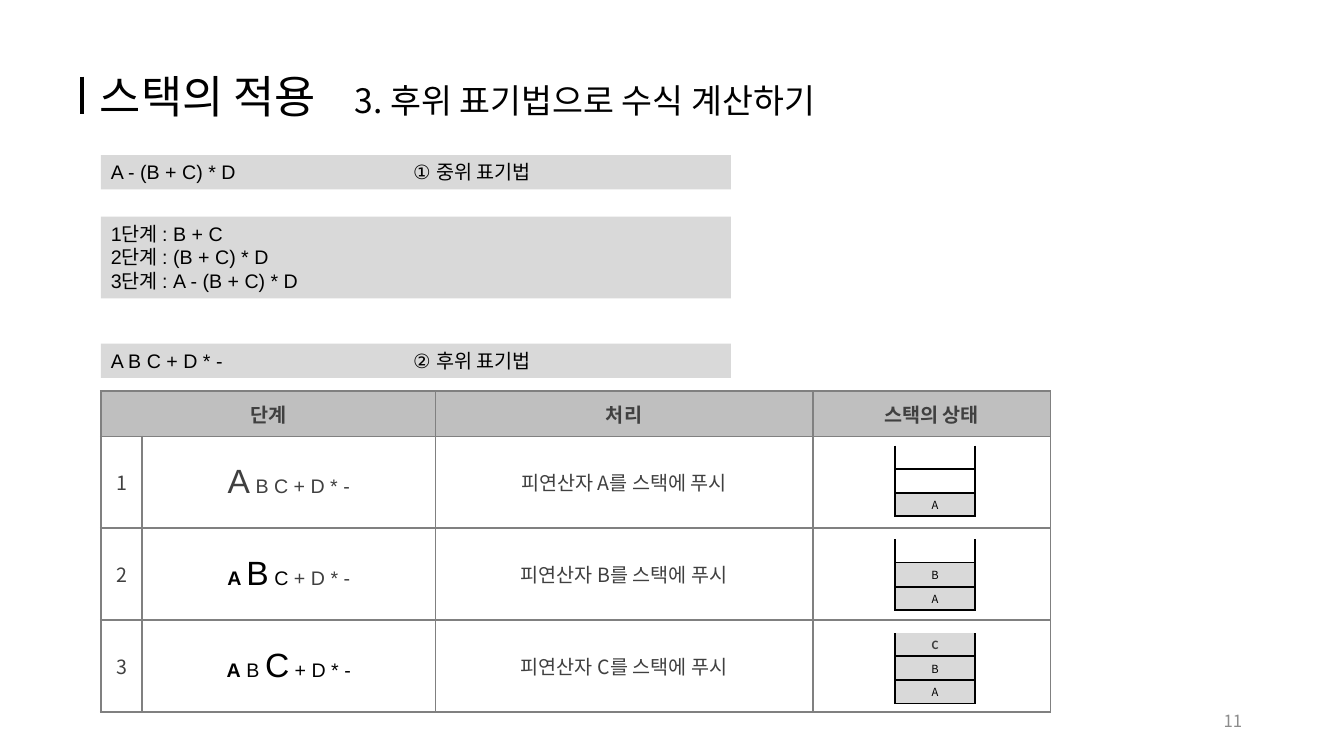
from dataclasses import dataclass
from typing import NamedTuple

from lxml import etree
from pptx import Presentation, util as u
from pptx.dml import color
from pptx.enum import shapes, text
from pptx.oxml import ns

PX = 9144
SANS, ARIAL = "Noto Sans CJK KR", "Arial"
BLACK, DARK, GREY, PALE, WHITE = "000000", "404040", "808080", "D9D9D9", "FFFFFF"
LEFT, MID, RIGHT = text.PP_ALIGN.LEFT, text.PP_ALIGN.CENTER, text.PP_ALIGN.RIGHT


class Run(NamedTuple):
    """A piece of text with its format."""
    words: str
    size: int = 14
    ink: str = DARK
    bold: bool = False
    face: str = SANS


class Box(NamedTuple):
    """A place on the slide in px."""
    left: int
    top: int
    wide: int
    high: int

    def emu(self) -> list[int]:
        """Give the place in EMU."""
        return [n * PX for n in self]


@dataclass
class Panel:
    """A grey box of text lines."""
    box: Box
    lines: list[str]


@dataclass
class Step:
    """A row of the main table with its stack, top item first."""
    runs: list[Run]
    note: str
    stack: list[Run | None]


def rgb(code: str) -> color.RGBColor:
    """Turn a hex string into a colour."""
    return color.RGBColor.from_string(code)


def put(item: object, form: dict) -> None:
    """Set each format value on an item."""
    for name, value in form.items():
        setattr(item, name, value)


def paint(item, code: str) -> None:
    """Fill an item with one colour."""
    item.fill.solid()
    item.fill.fore_color.rgb = rgb(code)


def write(frame, lines: list[list[Run]], align=LEFT, tab: int = 0) -> None:
    """Write lines of runs into a text frame."""
    for i, runs in enumerate(lines):
        para = frame.add_paragraph() if i else frame.paragraphs[0]
        para.alignment = align
        if tab:
            stops = etree.SubElement(para._p.get_or_add_pPr(), ns.qn("a:tabLst"))
            etree.SubElement(stops, ns.qn("a:tab"), pos=str(tab * PX), algn="l")
        for run in runs:
            part = para.add_run()
            part.text = run.words
            put(part.font, {"size": u.Pt(run.size), "bold": run.bold, "name": run.face})
            part.font.color.rgb = rgb(run.ink)
            if run.face == SANS:
                etree.SubElement(part._r.get_or_add_rPr(), ns.qn("a:ea"), typeface=SANS)


def edge(cell, code: str, bare: bool) -> None:
    """Draw the borders of a cell, with no top one if bare."""
    props = cell._tc.get_or_add_tcPr()
    for side in "LRTB":
        line = etree.SubElement(props, ns.qn(f"a:ln{side}"), w=str(u.Pt(1.5)))
        if bare and side == "T":
            etree.SubElement(line, ns.qn("a:noFill"))
        else:
            fill = etree.SubElement(line, ns.qn("a:solidFill"))
            etree.SubElement(fill, ns.qn("a:srgbClr"), val=code)


def grid(slide, box: Box, cols: list[int], rows: list[int]):
    """Add a plain table with given column and row sizes."""
    table = slide.shapes.add_table(len(rows), len(cols), *box.emu()).table
    put(table, {"first_row": False, "horz_banding": False})
    for col, wide in zip(table.columns, cols):
        col.width = wide * PX
    for row, high in zip(table.rows, rows):
        row.height = high * PX
    return table


def fill(cell, runs: list[Run], back: str, rim: str, bare: bool = False) -> None:
    """Give a cell its borders, fill and centred text."""
    edge(cell, rim, bare)
    paint(cell, back)
    cell.vertical_anchor = text.MSO_ANCHOR.MIDDLE
    write(cell.text_frame, [runs], MID)


def stack(slide, top: int, items: list[Run | None]) -> None:
    """Draw a stack as a table open at the top."""
    table = grid(slide, Box(888, top, 79, 70), [79], [23, 24, 23])
    for i, item in enumerate(items):
        cell = table.cell(i, 0)
        put(cell, {"margin_top": 0, "margin_bottom": 0})
        fill(cell, [item] if item else [], PALE if item else WHITE, BLACK, i == 0)
        if not item:
            para = cell.text_frame.paragraphs[0]._p
            etree.SubElement(para, ns.qn("a:endParaRPr"), sz="800")


def panel(slide, spec: Panel) -> None:
    """Draw a grey box with its lines."""
    shape = slide.shapes.add_shape(shapes.MSO_SHAPE.RECTANGLE, *spec.box.emu())
    shape.shadow.inherit = False
    shape.line.fill.background()
    paint(shape, PALE)
    put(shape.text_frame, {"word_wrap": True, "vertical_anchor": text.MSO_ANCHOR.TOP})
    lines = [[Run(line, ink=BLACK, face=ARIAL)] for line in spec.lines]
    write(shape.text_frame, lines, tab=300)


def head(slide) -> None:
    """Set the title, its bar and the page number."""
    title = slide.shapes.title
    put(title, dict(zip(("left", "top", "width", "height"), Box(89, 63, 798, 64).emu())))
    put(title.text_frame, {"word_wrap": True, "auto_size": text.MSO_AUTO_SIZE.NONE,
                           "vertical_anchor": text.MSO_ANCHOR.MIDDLE})
    write(title.text_frame, [[Run("스택의 적용\t", 32, BLACK),
                              Run("3. 후위 표기법으로 수식 계산하기", 24, BLACK)]], tab=253)
    bar = slide.shapes.add_connector(shapes.MSO_CONNECTOR.STRAIGHT,
                                     81 * PX, 76 * PX, 81 * PX, 113 * PX)
    bar.line.width = u.Pt(3)
    bar.line.color.rgb = rgb(BLACK)
    etree.SubElement(bar._element.spPr, ns.qn("a:effectLst"))
    page = slide.shapes.add_textbox(*Box(942, 695, 300, 40).emu()).text_frame
    put(page, {"word_wrap": True, "vertical_anchor": text.MSO_ANCHOR.MIDDLE})
    write(page, [[Run("11", 12, "8C8C8C")]], RIGHT)


def steps(slide, heads: list[str], rows: list[Step]) -> None:
    """Draw the main table and the stack of each row."""
    table = grid(slide, Box(100, 388, 942, 318), [41, 291, 374, 236], [45, 91, 91, 91])
    for i, name in enumerate(heads):
        runs = [Run(name, bold=True)] if name else []
        fill(table.cell(0, i), runs, "BFBFBF", GREY)
    table.cell(0, 0).merge(table.cell(0, 1))
    for i, step in enumerate(rows, 1):
        for j, runs in enumerate(([Run(str(i))], step.runs, [Run(step.note)], [])):
            fill(table.cell(i, j), runs, WHITE, GREY)
    for i, step in enumerate(rows):
        stack(slide, 442 + 93 * i, step.stack)


PANELS = [
    Panel(Box(100, 154, 625, 34), ["A - (B + C) * D\t① 중위 표기법"]),
    Panel(Box(100, 215, 625, 81),
          ["1단계 : B + C", "2단계 : (B + C) * D", "3단계 : A - (B + C) * D"]),
    Panel(Box(100, 341, 625, 34), ["A B C + D * -\t② 후위 표기법"]),
]
HEADS = ["단계", "", "처리", "스택의 상태"]
A, B = (Run(name, 8, BLACK) for name in "AB")
C = Run("C", 8, DARK, True)
STEPS = [
    Step([Run("A", 24, face=ARIAL), Run(" B C + D * -", face=ARIAL)],
         "피연산자 A를 스택에 푸시", [None, None, A]),
    Step([Run("A ", 14, BLACK, True, ARIAL), Run("B", 24, BLACK, face=ARIAL),
          Run(" C ", 14, BLACK, face=ARIAL), Run("+ D * -", face=ARIAL)],
         "피연산자 B를 스택에 푸시", [None, B, A]),
    Step([Run("A", 14, BLACK, True, ARIAL), Run(" B ", 14, BLACK, face=ARIAL),
          Run("C", 24, BLACK, face=ARIAL), Run(" + D * -", 14, BLACK, face=ARIAL)],
         "피연산자 C를 스택에 푸시", [C, B, A]),
]


def main() -> None:
    """Build the slide and save it."""
    deck = Presentation()
    put(deck, {"slide_width": 1333 * PX, "slide_height": 750 * PX})
    slide = deck.slides.add_slide(deck.slide_layouts[5])
    head(slide)
    for item in PANELS:
        panel(slide, item)
    steps(slide, HEADS, STEPS)
    deck.save("out.pptx")


if __name__ == "__main__":
    main()
